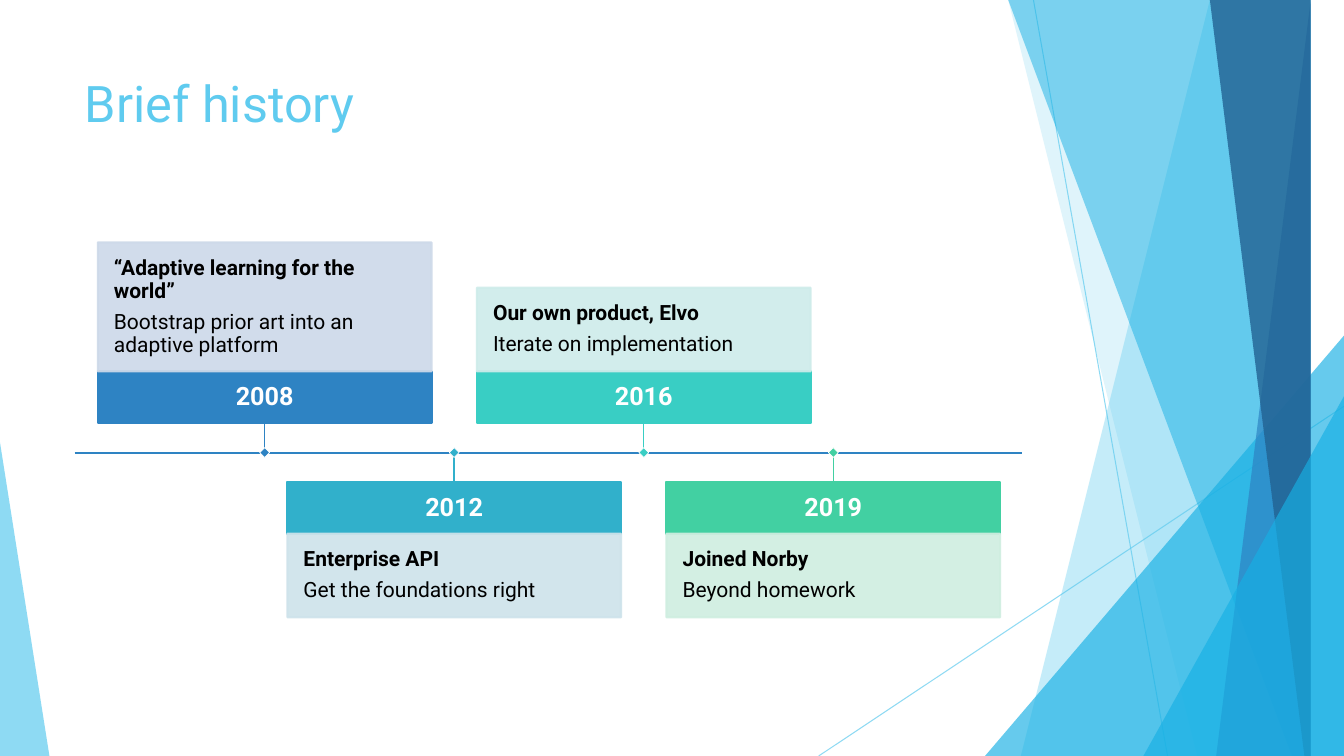
"""Build the "Brief history" timeline slide."""
from lxml import etree
from pptx import Presentation, util as u
from pptx.dml.color import RGBColor
from pptx.enum import shapes, text
from pptx.oxml.ns import qn

SKY = RGBColor(0x5F, 0xCB, 0xEF)
CYAN = RGBColor(0x17, 0xB0, 0xE4)
BLUE = RGBColor(0x2E, 0x83, 0xC3)
NAVY = RGBColor(0x22, 0x62, 0x92)
TEAL = RGBColor(0x31, 0xB0, 0xCB)
TURQUOISE = RGBColor(0x39, 0xCE, 0xC4)
GREEN = RGBColor(0x42, 0xD0, 0xA2)
PALE_BLUE = RGBColor(0xCD, 0xD9, 0xE9)
PALE_TEAL = RGBColor(0xCE, 0xE3, 0xEB)
PALE_TURQUOISE = RGBColor(0xCE, 0xEC, 0xEA)
PALE_GREEN = RGBColor(0xCF, 0xEE, 0xE0)
WHITE = RGBColor(0xFF, 0xFF, 0xFF)
BLACK = RGBColor(0, 0, 0)

FONT = "Roboto"
SLIDE_WIDTH, SLIDE_HEIGHT = 13.33, 7.5
AXIS_Y, STEM, YEAR_HEIGHT = 4.49, 0.295, 0.51
CARD_WIDTH, CARD_LEFT, CARD_STEP = 3.31, 0.97, 1.88
MARKER = 0.07

RAYS = [
    (10.25, 0, 11.58, SLIDE_HEIGHT),
    (SLIDE_WIDTH, 4.03, 8.12, SLIDE_HEIGHT),
]
BACK_BANDS = [(12.28, 10.04, SKY, 36), (10.5, 11.83, SKY, 20)]
FRONT_BANDS = [
    (10.21, 12.91, CYAN, 50),
    (13.03, 11.92, BLUE, 70),
    (11.96, 13.18, NAVY, 80),
]
MILESTONES = [
    ("2008", "“Adaptive learning for the world”",
     "Bootstrap prior art into an adaptive platform", BLUE, PALE_BLUE, 1.28),
    ("2012", "Enterprise API", "Get the foundations right", TEAL, PALE_TEAL, 0.83),
    ("2016", "Our own product, Elvo", "Iterate on implementation",
     TURQUOISE, PALE_TURQUOISE, 0.83),
    ("2019", "Joined Norby", "Beyond homework", GREEN, PALE_GREEN, 0.83),
]


def apply(target, formats):
    for name, value in formats.items():
        setattr(target, name, value)


def set_opacity(shape, percent):
    for colour in shape.element.spPr.iter(qn("a:srgbClr")):
        etree.SubElement(colour, qn("a:alpha"), val=str(percent * 1000))


def paint(shape, fill, opacity=100, line=None, line_width=1.5):
    shape.shadow.inherit = False
    shape.fill.solid()
    shape.fill.fore_color.rgb = fill
    if line is None:
        shape.line.fill.background()
    else:
        shape.line.color.rgb = line
        shape.line.width = u.Pt(line_width)
    if opacity < 100:
        set_opacity(shape, opacity)


def add_line(page, ends, colour, width, opacity=100):
    line = page.shapes.add_connector(
        shapes.MSO_CONNECTOR.STRAIGHT, *map(u.Inches, ends))
    line.line.color.rgb = colour
    line.line.width = u.Pt(width)
    if opacity < 100:
        set_opacity(line, opacity)
    etree.SubElement(line.element.spPr, qn("a:effectLst"))


def add_band(page, top_x, bottom_x, colour, opacity):
    builder = page.shapes.build_freeform(top_x, 0, scale=u.Inches(1))
    builder.add_line_segments([
        (SLIDE_WIDTH, 0), (SLIDE_WIDTH, SLIDE_HEIGHT), (bottom_x, SLIDE_HEIGHT)])
    paint(builder.convert_to_shape(), colour, opacity)


def add_triangle(page, left, top, width, apex, colour, opacity):
    triangle = page.shapes.add_shape(
        shapes.MSO_SHAPE.ISOSCELES_TRIANGLE,
        *map(u.Inches, (left, top, width, SLIDE_HEIGHT - top)))
    triangle.adjustments[0] = apex
    paint(triangle, colour, opacity)


def add_rectangle(page, left, top, width, height):
    return page.shapes.add_shape(
        shapes.MSO_SHAPE.RECTANGLE, *map(u.Inches, (left, top, width, height)))


def write(box, lines, inset, align, size, colour):
    frame = box.text_frame
    margins = ("margin_left", "margin_top", "margin_right", "margin_bottom")
    apply(frame, dict.fromkeys(margins, u.Inches(inset)))
    apply(frame, {"word_wrap": True, "vertical_anchor": text.MSO_ANCHOR.MIDDLE})
    for index, line in enumerate(lines):
        para = frame.paragraphs[0] if index == 0 else frame.add_paragraph()
        apply(para, {"alignment": align, "line_spacing": 0.9, "space_after": u.Pt(6)})
        span = para.add_run()
        span.text = line
        apply(span.font, {"name": FONT, "size": u.Pt(size), "bold": index == 0})
        span.font.color.rgb = colour


def add_backdrop(page):
    for ends in RAYS:
        add_line(page, ends, SKY, 0.75, 70)
    for band in BACK_BANDS:
        add_band(page, *band)
    add_triangle(page, 9.77, 3.33, 3.56, 1, CYAN, 66)
    for band in FRONT_BANDS:
        add_band(page, *band)
    add_triangle(page, 11.34, 3.93, 1.99, 1, CYAN, 66)
    add_triangle(page, 0, 4.39, 0.49, 0, SKY, 70)


def add_title(page, wording):
    title = page.shapes.title
    apply(title, {"left": u.Inches(0.74), "top": u.Inches(0.67),
                  "width": u.Inches(9.4), "height": u.Inches(1.44)})
    title.text_frame.text = wording
    title.text_frame.vertical_anchor = text.MSO_ANCHOR.TOP
    para = title.text_frame.paragraphs[0]
    para.alignment = text.PP_ALIGN.LEFT
    apply(para.font, {"name": FONT, "size": u.Pt(36)})
    para.font.color.rgb = SKY


def add_milestone(page, index, year, heading, detail, strong, pale, height):
    left = CARD_LEFT + index * CARD_STEP
    centre = left + CARD_WIDTH / 2
    if index % 2 == 0:
        stem_end = AXIS_Y - STEM
        year_top = stem_end - YEAR_HEIGHT
        card_top = year_top - height
    else:
        stem_end = year_top = AXIS_Y + STEM
        card_top = year_top + YEAR_HEIGHT

    label = add_rectangle(page, left, year_top, CARD_WIDTH, YEAR_HEIGHT)
    paint(label, strong, line=strong)
    write(label, [year], 0.1, text.PP_ALIGN.CENTER, 18, WHITE)

    card = add_rectangle(page, left, card_top, CARD_WIDTH, height)
    paint(card, pale, 90, line=pale)
    write(card, [heading, detail], 0.16, text.PP_ALIGN.LEFT, 15, BLACK)

    add_line(page, (centre, AXIS_Y, centre, stem_end), strong, 1)
    marker = add_rectangle(
        page, centre - MARKER / 2, AXIS_Y - MARKER / 2, MARKER, MARKER)
    marker.rotation = 45
    paint(marker, strong, line=WHITE, line_width=0.5)


def main():
    deck = Presentation()
    apply(deck, {"slide_width": u.Inches(SLIDE_WIDTH),
                 "slide_height": u.Inches(SLIDE_HEIGHT)})
    page = deck.slides.add_slide(deck.slide_layouts.get_by_name("Title Only"))
    add_backdrop(page)
    add_title(page, "Brief history")
    add_line(page, (0.74, AXIS_Y, 10.14, AXIS_Y), BLUE, 1.5)
    for index, milestone in enumerate(MILESTONES):
        add_milestone(page, index, *milestone)
    deck.save("out.pptx")


if __name__ == "__main__":
    main()
